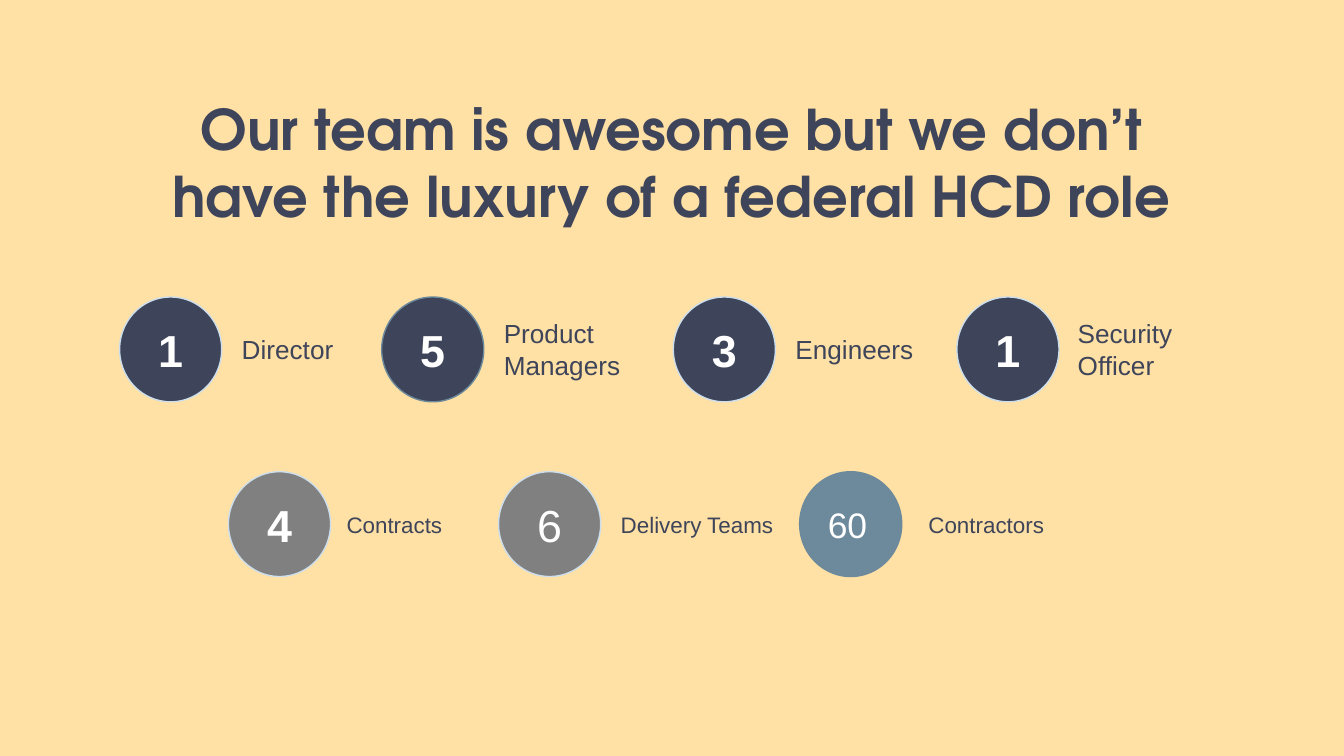
from pptx import Presentation
from pptx.dml.color import RGBColor
from pptx.enum.shapes import MSO_SHAPE
from pptx.enum.text import MSO_ANCHOR, MSO_AUTO_SIZE, PP_ALIGN
from pptx.util import Inches, Pt

OVAL = MSO_SHAPE.OVAL
MIDDLE, TOP = MSO_ANCHOR.MIDDLE, MSO_ANCHOR.TOP
LEFT, CENTER = PP_ALIGN.LEFT, PP_ALIGN.CENTER
NO_FIT = MSO_AUTO_SIZE.NONE

COLORS = {
    "sand": "FFE0A5",
    "navy": "3E4459",
    "gray": "808080",
    "steel": "6C8A9C",
    "pale": "CDDFEC",
    "white": "FFFFFF",
}
BODY, HEAD = "Arial", "TeX Gyre Adventor"
WIDE = 10
HIGH = WIDE * 9 / 16
DISC_W, DISC_H = 0.76, 0.78

# Disc left, number, size, bold, align, fill, line, label left, width, label
STAFF = [
    (0.89, "1", 24, True, CENTER, "navy", "pale", 1.7, 1.15, "Director"),
    (2.84, "5", 24, True, CENTER, "navy", "steel", 3.65, 1.15,
     "Product Managers"),
    (5.01, "3", 24, True, CENTER, "navy", "pale", 5.82, 1.15, "Engineers"),
    (7.12, "1", 24, True, CENTER, "navy", "pale", 7.92, 2.02,
     "Security\nOfficer"),
]
VENDORS = [
    (1.7, "4", 24, True, CENTER, "gray", "pale", 2.48, 1.15, "Contracts"),
    (3.71, "6", 24, False, CENTER, "gray", "pale", 4.52, 1.39,
     "Delivery Teams"),
    (5.95, "60", 19, False, LEFT, "steel", "steel", 6.81, 1.33,
     "Contractors"),
]


def color(name):
    return RGBColor.from_string(COLORS[name])


def set_text(shape, text, size, tint, font=BODY, bold=False, align=LEFT,
             anchor=MIDDLE):
    frame = shape.text_frame
    frame.text = text
    frame.word_wrap = True
    frame.auto_size = NO_FIT
    frame.vertical_anchor = anchor
    frame.margin_left = frame.margin_right = Inches(0.1)
    frame.margin_top = frame.margin_bottom = Inches(0.1)
    for para in frame.paragraphs:
        para.alignment = align
        for run in para.runs:
            run.font.name = font
            run.font.size = Pt(size)
            run.font.bold = bold
            run.font.color.rgb = color(tint)


def add_title(slide, text):
    title = slide.shapes.title
    title.left, title.top = Inches(1), Inches(0.31)
    title.width, title.height = Inches(7.99), Inches(1.78)
    set_text(title, text, 30, "navy", HEAD, True, CENTER)


def add_disc(slide, left, top, text, size, bold, align, fill, line):
    disc = slide.shapes.add_shape(OVAL, Inches(left), Inches(top),
                                  Inches(DISC_W), Inches(DISC_H))
    disc.shadow.inherit = False
    disc.fill.solid()
    disc.fill.fore_color.rgb = color(fill)
    disc.line.color.rgb = color(line)
    disc.line.width = Pt(0.75)
    set_text(disc, text, size, "white", bold=bold, align=align)


def add_label(slide, left, mid, width, height, text, size):
    box = slide.shapes.add_textbox(Inches(left), Inches(mid - height / 2),
                                   Inches(width), Inches(height))
    set_text(box, text, size, "navy", anchor=TOP)


def add_row(slide, top, roles, size, height, tall):
    mid = top + DISC_H / 2
    for left, num, pts, bold, align, fill, line, tab, width, label in roles:
        add_disc(slide, left, top, num, pts, bold, align, fill, line)
        # Labels of two words may need the tall box
        two = len(label.split()) > 1
        add_label(slide, tab, mid, width, tall if two else height, label, size)


def main():
    deck = Presentation()
    deck.slide_width, deck.slide_height = Inches(WIDE), Inches(HIGH)
    slide = deck.slides.add_slide(deck.slide_layouts[5])

    # Background and title
    slide.background.fill.solid()
    slide.background.fill.fore_color.rgb = color("sand")
    add_title(slide, "Our team is awesome but we don’t have the luxury "
                     "of a federal HCD role")

    # Federal staff above, contract teams below
    add_row(slide, 2.21, STAFF, 14, 0.44, 0.67)
    add_row(slide, 3.51, VENDORS, 12, 0.4, 0.4)
    deck.save("out.pptx")


if __name__ == "__main__":
    main()
